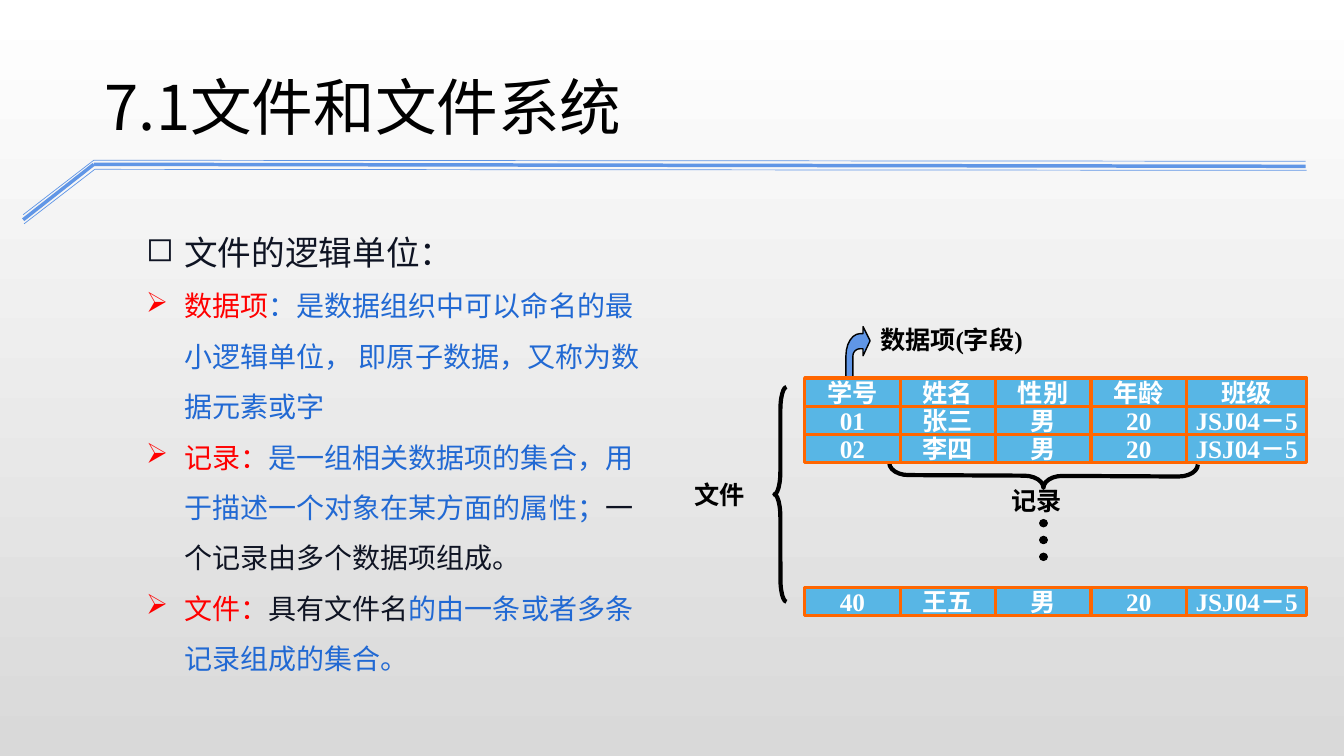
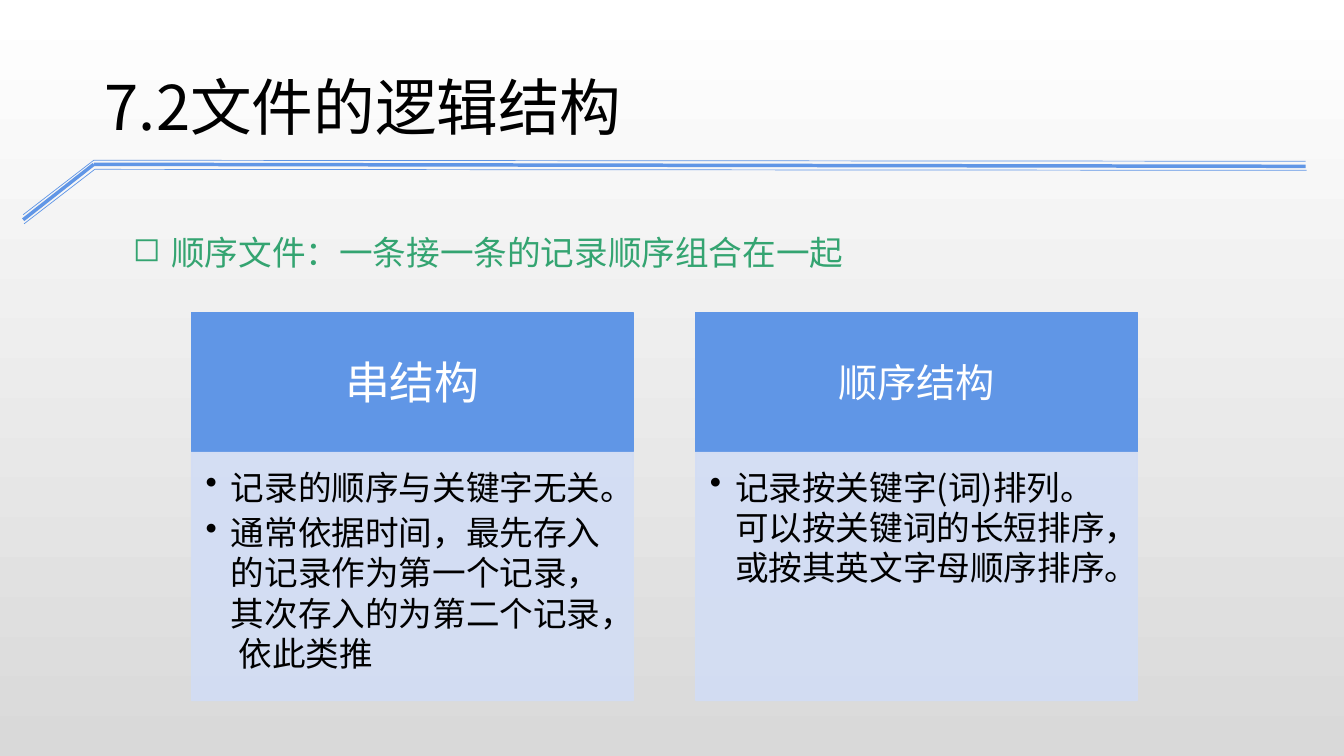
import math
from lxml import etree
from pptx import Presentation
from pptx import util as u
from pptx.dml.color import RGBColor
from pptx.enum import dml, shapes, text
from pptx.oxml.ns import qn

PX = 9144  # EMU in one px, 100 px to the inch


class Theme:
    sans, serif = "Noto Sans CJK JP", "Times New Roman"
    black, white, ink = "000000", "FFFFFF", "0F1423"
    shade, blue, pale = "D9D9D9", "6096E6", "D2DDF5"
    link, red, green = "2169D3", "FF0000", "34A471"
    cell, orange = "58B6E5", "FF6600"
    title, heading, body, label = 44, 24, 20, 18


def add_box(page, place, paras, font=Theme.sans, bold=False, align=text.PP_ALIGN.LEFT,
            anchor=text.MSO_ANCHOR.TOP, margins=(10, 5, 10, 5), wrap=True,
            fill=None, edge=None, weight=1, indent=38, spacing=None, after=None):
    """Add a text box, or a rectangle if filled; paras hold (bullet, size, runs)."""
    place = [n * PX for n in place]
    if fill:
        box = page.shapes.add_shape(shapes.MSO_SHAPE.RECTANGLE, *place)
        box.shadow.inherit = False
        box.fill.solid()
        box.fill.fore_color.rgb = RGBColor.from_string(fill)
        box.line.color.rgb = RGBColor.from_string(edge)
        box.line.width = u.Pt(weight)
    else:
        box = page.shapes.add_textbox(*place)
    frame = box.text_frame
    frame.word_wrap = wrap
    frame.vertical_anchor = anchor
    (frame.margin_left, frame.margin_top,
     frame.margin_right, frame.margin_bottom) = [n * PX for n in margins]
    for index, (bullet, size, runs) in enumerate(paras):
        para = frame.add_paragraph() if index else frame.paragraphs[0]
        para.alignment = align
        if spacing:
            para.line_spacing = spacing
        if after:
            para.space_after = u.Pt(after)
        if bullet:
            props = para._p.get_or_add_pPr()
            props.set("marL", str(indent * PX))
            props.set("indent", str(-indent * PX))
            etree.SubElement(props, qn("a:buChar")).set("char", bullet)
        for words, colour in runs:
            span = para.add_run()
            span.text = words
            span.font.name = font
            span.font.size = u.Pt(size)
            span.font.bold = bold
            span.font.color.rgb = RGBColor.from_string(colour)
            east = etree.SubElement(span._r.get_or_add_rPr(), qn("a:ea"))
            east.set("typeface", Theme.sans)
    return box


def add_line(page, start, end, colour, weight):
    line = page.shapes.add_connector(
        shapes.MSO_CONNECTOR.STRAIGHT, *[n * PX for n in start + end])
    line.line.color.rgb = RGBColor.from_string(colour)
    line.line.width = u.Pt(weight)
    etree.SubElement(line._element.spPr, qn("a:effectLst"))
    return line


deck = Presentation()
deck.slide_width, deck.slide_height = 1333 * PX, 750 * PX

# Shared background, rule and title
pages = []
for title in ("7.1文件和文件系统", "7.2文件的逻辑结构"):
    page = deck.slides.add_slide(deck.slide_layouts[6])
    pages.append(page)
    backdrop = page.background.fill
    backdrop.gradient()
    backdrop.gradient_angle = 270
    for stop, position, colour in zip(backdrop.gradient_stops, (0, 1),
                                      (Theme.white, Theme.shade)):
        stop.position = position
        stop.color.rgb = RGBColor.from_string(colour)
    for left, low, bend, right_y, weight in ((23, 213, 159, 160, 0.5),
                                             (23, 218, 163, 165, 2.5),
                                             (24, 222, 168, 169, 0.5)):
        corner = (left + 70, bend)
        add_line(page, (left, low), corner, Theme.blue, weight)
        add_line(page, corner, (left + 1272, right_y), Theme.blue, weight)
    add_box(page, (94, 63, 952, 84),
            [(None, Theme.title, [(title, Theme.black)])])
units_page, structure_page = pages

# Slide 1: definitions
add_box(units_page, (135, 205, 529, 474), [
    ("◻", Theme.heading, [("文件的逻辑单位：", Theme.ink)]),
    ("➢", Theme.body, [
        ("数据项", Theme.red),
        ("：是数据组织中可以命名的最小逻辑单位， 即原子数据，又称为数据元素或字", Theme.link)]),
    ("➢", Theme.body, [
        ("记录：", Theme.red),
        ("是一组相关数据项的集合，用于描述一个对象在某方面的属性；", Theme.link),
        ("一个记录由多个数据项组成。", Theme.ink)]),
    ("➢", Theme.body, [
        ("文件：", Theme.red),
        ("具有文件名", Theme.ink),
        ("的由一条或者多条记录组成的集合。", Theme.link)]),
], spacing=1.5)

# Slide 1: bent arrow, its two arcs sampled every 15 degrees
turn = [math.radians(angle) for angle in range(0, 91, 15)]
outer = [(853 - 14 * math.sin(a), 353 - 22 * math.cos(a)) for a in turn]
inner = [(853 - 7 * math.cos(a), 353 - 7 * math.sin(a)) for a in turn]
outline = [(863, 338), (856, 324), (856, 331), *outer, (839, 375), (846, 375),
           *inner, (856, 346), (856, 353)]
points = [(x * PX, y * PX) for x, y in outline]
builder = units_page.shapes.build_freeform(*points[0], scale=1.0)
builder.add_line_segments(points[1:], close=True)
arrow = builder.convert_to_shape()
arrow.shadow.inherit = False
arrow.fill.solid()
arrow.fill.fore_color.rgb = RGBColor.from_string(Theme.blue)
arrow.line.color.rgb = RGBColor.from_string(Theme.black)
arrow.line.width = u.Pt(1)

# Slide 1: braces for one record and for the whole file
for place, bow, rotation in (((1023, 319, 24, 306), 0.79, 270.3),
                             ((768, 384, 12, 213), 1.92, 0)):
    brace = units_page.shapes.add_shape(
        shapes.MSO_SHAPE.LEFT_BRACE, *[n * PX for n in place])
    brace.adjustments[0] = bow
    brace.rotation = rotation
    brace.shadow.inherit = False
    brace.fill.background()
    brace.line.color.rgb = RGBColor.from_string(Theme.black)
    brace.line.width = u.Pt(3)

# Slide 1: record cells
column_edges = (798, 893, 987, 1082, 1177, 1296)
records = ((375, ("学号", "姓名", "性别", "年龄", "班级")),
           (403, ("01", "张三", "男", "20", "JSJ04－5")),
           (431, ("02", "李四", "男", "20", "JSJ04－5")),
           (583, ("40", "王五", "男", "20", "JSJ04－5")))
for top, values in records:
    for left, right, value in zip(column_edges, column_edges[1:], values):
        add_box(units_page, (left, top, right - left, 28),
                [(None, Theme.label, [(value, Theme.white)])],
                font=Theme.serif, bold=True, align=text.PP_ALIGN.CENTER,
                anchor=text.MSO_ANCHOR.MIDDLE, wrap=False,
                fill=Theme.cell, edge=Theme.orange, weight=2.25)

# Slide 1: dots for the records left out, and labels
dots = add_line(units_page, (1035, 519), (1035, 569), Theme.black, 6)
dots.line.dash_style = dml.MSO_LINE.ROUND_DOT
dots.line._ln.set("cap", "rnd")
for left, top, width, label in ((863, 317, 237, "数据项(字段)"),
                                (993, 477, 89, "记录"),
                                (679, 471, 89, "文件")):
    add_box(units_page, (left, top, width, 40),
            [(None, Theme.label, [(label, Theme.black)])],
            font=Theme.serif, bold=True)

# Slide 2: lead sentence
add_box(structure_page, (122, 205, 1201, 71),
        [("◻", Theme.heading, [("顺序文件：一条接一条的记录顺序组合在一起", Theme.green)])],
        spacing=1.5)

# Slide 2: two panels, each a heading over a list
panels = (
    ("串结构", 32, ("记录的顺序与关键字无关。",
                 "通常依据时间，最先存入的记录作为第一个记录，其次存入的为第二个记录， 依此类推")),
    ("顺序结构", 28, ("记录按关键字(词)排列。可以按关键词的长短排序，或按其英文字母顺序排序。",)),
)
for index, (heading, size, items) in enumerate(panels):
    left = 190 + 500 * index
    add_box(structure_page, (left, 310, 438, 138),
            [(None, size, [(heading, Theme.white)])],
            align=text.PP_ALIGN.CENTER, anchor=text.MSO_ANCHOR.MIDDLE,
            fill=Theme.blue, edge=Theme.blue)
    panel = add_box(structure_page, (left, 449, 438, 246),
                    [("•", Theme.heading, [(item, Theme.black)]) for item in items],
                    margins=(14, 14, 19, 21), indent=25, after=3.6,
                    fill=Theme.pale, edge=Theme.pale)
    for colour in panel._element.spPr.iter(qn("a:srgbClr")):
        etree.SubElement(colour, qn("a:alpha")).set("val", "90000")

deck.save("out.pptx")
